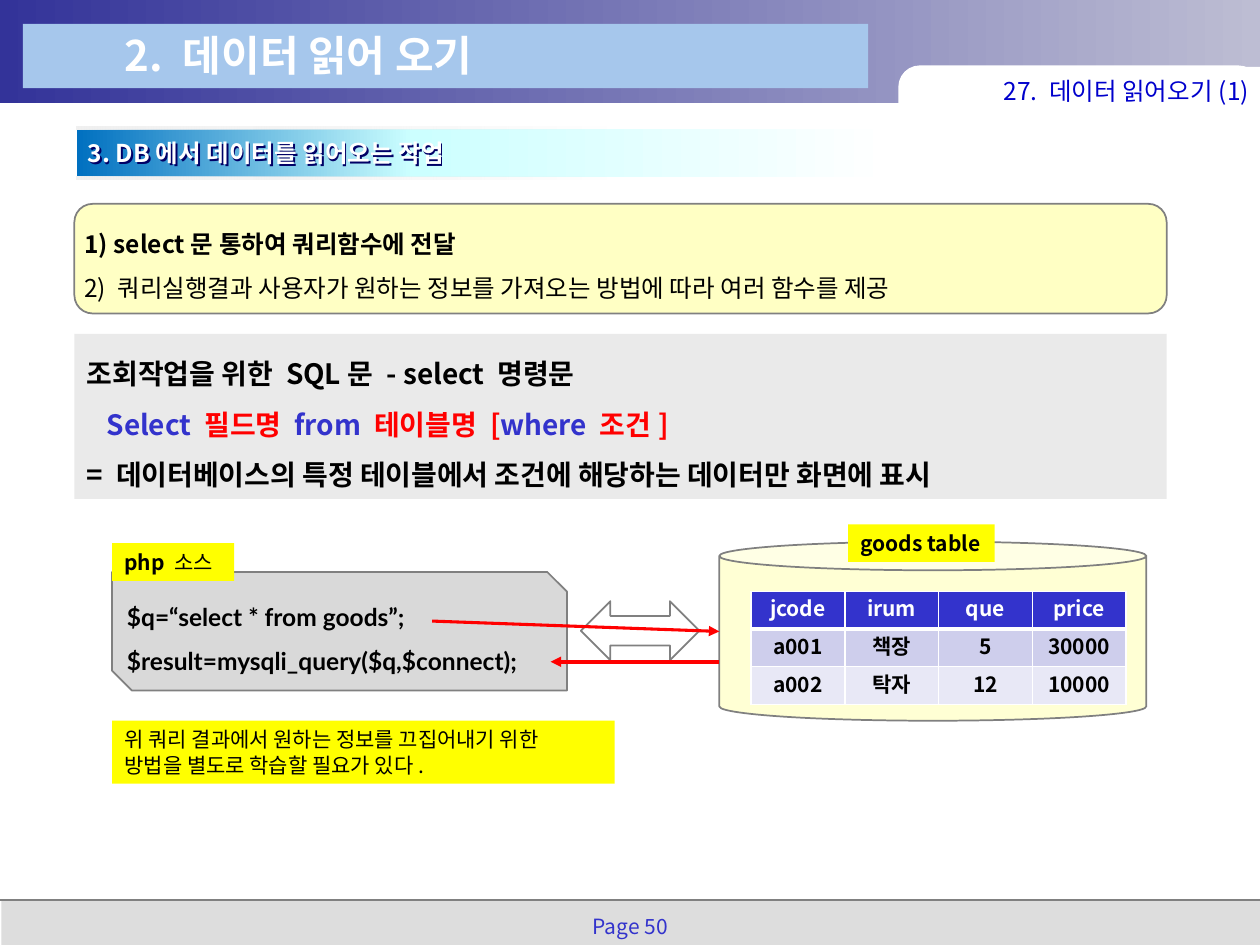
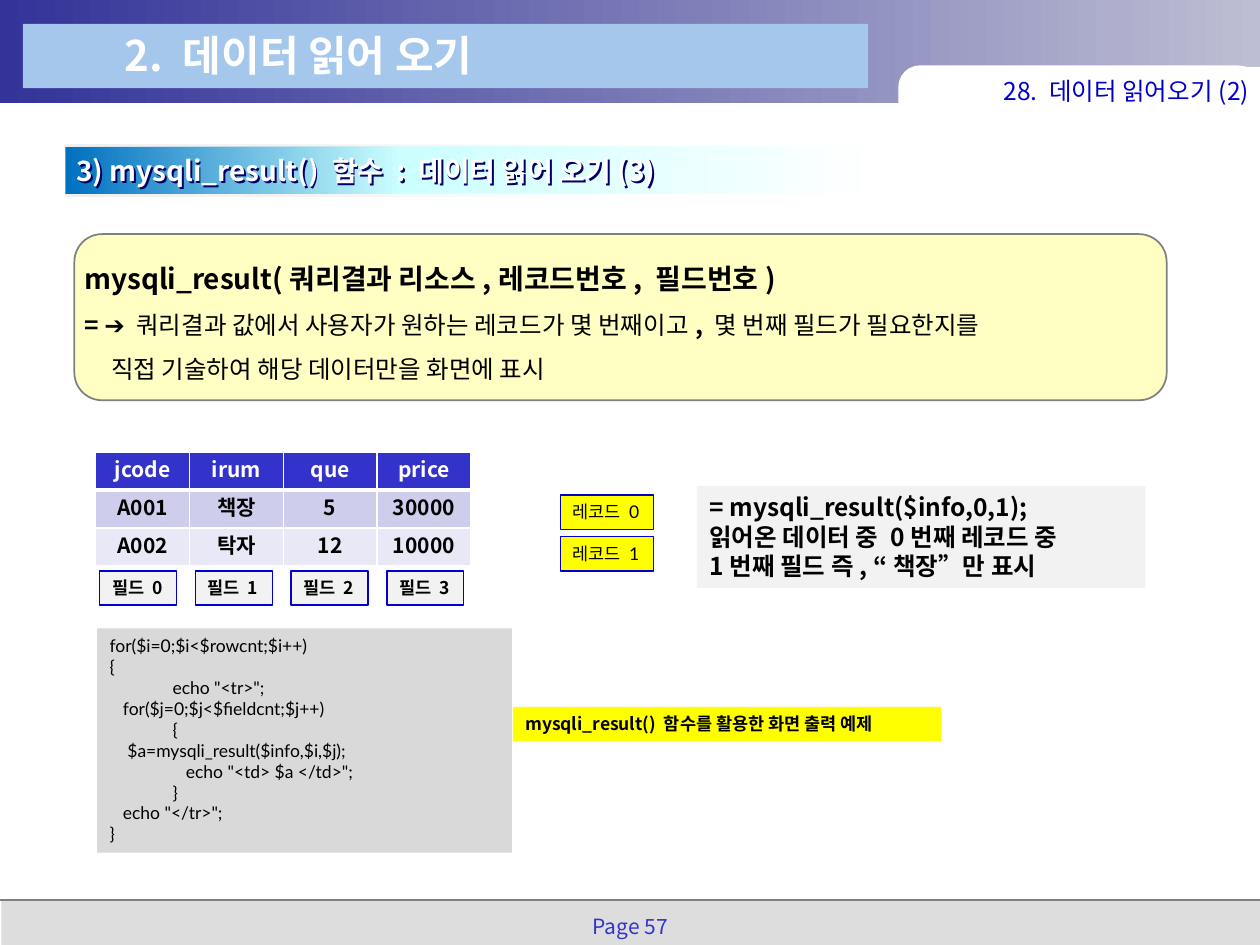
import dataclasses

import pptx
import pptx.dml.color
import pptx.enum.shapes
import pptx.enum.text
import pptx.oxml
import pptx.oxml.ns
import pptx.util

Cm, Pt = pptx.util.Cm, pptx.util.Pt
SHAPE = pptx.enum.shapes.MSO_SHAPE
ALIGN = pptx.enum.text.PP_ALIGN
ANCHOR = pptx.enum.text.MSO_ANCHOR
qn = pptx.oxml.ns.qn
NS = pptx.oxml.ns.nsdecls("a")


@dataclasses.dataclass(frozen=True)
class Theme:
    font: str = "Noto Sans CJK KR"
    code_font: str = "Lato"
    ink: str = "000000"
    white: str = "FFFFFF"
    blue: str = "3333CC"
    link: str = "0000CC"
    red: str = "FF0000"
    yellow: str = "FFFF00"
    gray: str = "D9D9D9"
    pale: str = "F2F2F2"
    outline: str = "808080"
    footer: str = "DDDDDD"
    title_box: str = "A6C7EC"
    shadow: str = "000066"
    rows: tuple = ("3333CC", "CECEEC", "E8E8F6")
    band: tuple = ((0, "333399", 100), (100, "BDBDD3", 100))
    heading: tuple = ((0, "0070C0", 100), (40, "CCFFFF", 100), (97, "FFFFFF", 100))
    hairline: tuple = ((0, "F0F0F0", 100), (100, "EAEAEA", 0))
    title: int = 24
    lead: int = 16
    body: int = 14
    label: int = 12
    small: int = 10


T = Theme()


# ---- helpers ----
def cm(*values):
    return [Cm(v) for v in values]


def rgb(color):
    return pptx.dml.color.RGBColor.from_string(color)


def add_box(s, box, fill=None, line=None, width=1, kind=SHAPE.RECTANGLE, alpha=None):
    """Preset shape; fill is a colour, a tuple of gradient stops or None."""
    sp = s.shapes.add_shape(kind, *cm(*box))
    sp.shadow.inherit = False
    if isinstance(fill, str):
        sp.fill.solid()
        sp.fill.fore_color.rgb = rgb(fill)
        if alpha:
            clr = sp.element.spPr.find(qn("a:solidFill"))[0]
            clr.append(pptx.oxml.parse_xml(f'<a:alpha {NS} val="{alpha * 1000}"/>'))
    else:
        sp.fill.background()
    if isinstance(fill, tuple):
        stops = "".join(
            f'<a:gs pos="{pos * 1000}"><a:srgbClr val="{color}">'
            f'<a:alpha val="{opacity * 1000}"/></a:srgbClr></a:gs>'
            for pos, color, opacity in fill)
        grad = pptx.oxml.parse_xml(
            f'<a:gradFill {NS}><a:gsLst>{stops}</a:gsLst><a:lin ang="0"/></a:gradFill>')
        spPr = sp.element.spPr
        spPr.replace(spPr.find(qn("a:noFill")), grad)
    if line:
        sp.line.color.rgb = rgb(line)
        sp.line.width = Pt(width)
    else:
        sp.line.fill.background()
    return sp


def add_line(s, start, end, color, width, arrow=False):
    c = s.shapes.add_connector(
        pptx.enum.shapes.MSO_CONNECTOR.STRAIGHT, *cm(*start, *end))
    c.line.color.rgb = rgb(color)
    c.line.width = Pt(width)
    if arrow:
        c.line._get_or_add_ln().append(
            pptx.oxml.parse_xml(f'<a:tailEnd {NS} type="triangle"/>'))
    c.element.spPr.append(pptx.oxml.parse_xml(f"<a:effectLst {NS}/>"))


def write(tf, paragraphs, size, color=T.ink, bold=False, font=T.font, align=ALIGN.LEFT,
          spacing=1, anchor=ANCHOR.TOP, wrap=True, inset=None, indents=()):
    """Each paragraph is a string or a list of (text, overrides) runs."""
    tf.auto_size = pptx.enum.text.MSO_AUTO_SIZE.NONE
    tf.word_wrap = wrap
    tf.vertical_anchor = anchor
    if inset is not None:
        tf.margin_left = tf.margin_right = tf.margin_top = tf.margin_bottom = Cm(inset)
    for i, runs in enumerate(paragraphs):
        p = tf.paragraphs[0] if i == 0 else tf.add_paragraph()
        pPr = p._p.get_or_add_pPr()
        pPr.set("marL", str(Cm(dict(indents).get(i, 0))))
        pPr.set("indent", "0")
        pPr.append(pptx.oxml.parse_xml(f"<a:buNone {NS}/>"))
        p.alignment = align
        p.space_before = Pt(0)
        p.line_spacing = Pt(round(size * 1.2 * spacing, 1))
        for text, style in [(runs, {})] if isinstance(runs, str) else runs:
            r = p.add_run()
            r.text = text
            r.font.size = Pt(style.get("size", size))
            r.font.bold = style.get("bold", bold)
            r.font.color.rgb = rgb(style.get("color", color))
            r.font.name = font
            r.font._element.find(qn("a:latin")).addnext(
                pptx.oxml.parse_xml(f'<a:ea {NS} typeface="{T.font}"/>'))


def add_text(s, box, paragraphs, size, **style):
    sp = s.shapes.add_textbox(*cm(*box))
    write(sp.text_frame, paragraphs, size, **style)
    return sp


def place(sp, box):
    """Moves a placeholder and brings it to the front."""
    sp.left, sp.top, sp.width, sp.height = cm(*box)
    sp.element.getparent().append(sp.element)


# ---- regions ----
def add_frame(prs, chapter, page):
    s = prs.slides.add_slide(prs.slide_layouts[1])
    add_box(s, (0.03, 18.14, 25.37, 0.91), T.footer)
    add_box(s, (0, 0, 25.4, 2.08), T.band)
    add_line(s, (0, 18.14), (25.4, 18.14), T.outline, 1)
    tab = add_box(s, (18.11, 1.32, 7.29, 1.5), T.white, kind=SHAPE.ROUNDED_RECTANGLE)
    tab.adjustments[0] = 0.29
    add_box(s, (23.11, 1.35, 2.29, 0.61), T.white)
    add_box(s, (0.46, 0.48, 17.04, 1.3), T.title_box)
    place(s.shapes.title, (2.26, 0.46, 12.62, 1.27))
    write(s.shapes.title.text_frame, ["2. 데이터 읽어 오기"], T.title, color=T.white, bold=True)
    add_text(s, (18.11, 1.42, 7.17, 0.81), [chapter], T.body, color=T.link,
             align=ALIGN.RIGHT, anchor=ANCHOR.MIDDLE, inset=0.1)
    add_text(s, (11.56, 18.29, 2.29, 0.71), [f"Page {page}"], T.label, color=T.blue,
             align=ALIGN.CENTER, wrap=False)
    return s


def add_heading(s, left, top, text, size):
    width, height = 16.94, 0.97
    add_box(s, (left, top, width, height), T.heading)
    for edge in (top - 0.04, top + height):
        add_box(s, (left, edge, 10.69, 0.05), T.hairline)
    sp = add_text(s, (left - 0.03, top, width, height), [text], size,
                  color=T.white, bold=True, anchor=ANCHOR.MIDDLE)
    sp.element.spPr.append(pptx.oxml.parse_xml(
        f'<a:effectLst {NS}><a:outerShdw dist="17960" dir="2700000">'
        f'<a:srgbClr val="{T.shadow}"/></a:outerShdw></a:effectLst>'))


def add_summary(s, box, paragraphs, size, **style):
    add_box(s, box, T.yellow, T.outline, kind=SHAPE.ROUNDED_RECTANGLE, alpha=23)
    left, top, width, height = box
    body = s.placeholders[1]
    place(body, (left + 0.1, top, width - 0.2, height))
    write(body.text_frame, paragraphs, size, spacing=1.5,
          anchor=ANCHOR.MIDDLE, inset=0.1, **style)


def add_label(s, box, paragraphs, size=T.label, fill=T.yellow, line=None, **style):
    sp = add_box(s, box, fill, line, 0.75)
    write(sp.text_frame, paragraphs, size, **style)


def add_goods_table(s, left, top, codes):
    rows = [("jcode", "irum", "que", "price"),
            (codes[0], "책장", "5", "30000"),
            (codes[1], "탁자", "12", "10000")]
    table = s.shapes.add_table(3, 4, *cm(left, top, 7.56, 2.28)).table
    for row, values in enumerate(rows):
        table.rows[row].height = Cm(0.76)
        for col, value in enumerate(values):
            cell = table.cell(row, col)
            cell.fill.solid()
            cell.fill.fore_color.rgb = rgb(T.rows[row])
            cell.margin_top = cell.margin_bottom = Cm(0.12)
            write(cell.text_frame, [value], T.label, bold=True, align=ALIGN.CENTER,
                  color=T.ink if row else T.white)
            cell.vertical_anchor = ANCHOR.MIDDLE
            tcPr = cell._tc.get_or_add_tcPr()
            for i, side in enumerate("LRTB"):
                heavy = (row, side) in ((0, "B"), (1, "T"))
                tcPr.insert(i, pptx.oxml.parse_xml(
                    f'<a:ln{side} {NS} w="{Pt(3 if heavy else 1)}"><a:solidFill>'
                    f'<a:srgbClr val="{T.white}"/></a:solidFill></a:ln{side}>'))


def add_database(s, left, top):
    can = add_box(s, (left, top, 8.61, 3.61), T.yellow, T.outline, kind=SHAPE.CAN, alpha=17)
    can.adjustments[0] = 0.16
    add_goods_table(s, left + 0.64, top + 1, ("a001", "a002"))
    add_label(s, (left + 2.6, top - 0.35, 2.95, 0.76), ["goods table"], bold=True, wrap=False)


def add_php_source(s, left, top):
    sp = add_box(s, (left, top, 9.17, 2.39), T.gray, T.outline,
                 kind=SHAPE.SNIP_2_DIAG_RECTANGLE)
    write(sp.text_frame, ["$q=“select * from goods”;", "$result=mysqli_query($q,$connect);"],
          T.body, bold=True, font=T.code_font, spacing=1.5, anchor=ANCHOR.MIDDLE, inset=0.1)
    add_label(s, (left, top - 0.58, 2.46, 0.76),
              [[("php ", {"bold": True}), ("소스", {})]], wrap=False)


def add_query_flow(s, left, top):
    add_php_source(s, left, top)
    add_box(s, (left + 9.45, top + 0.59, 2.39, 1.19), None, T.outline,
            kind=SHAPE.LEFT_RIGHT_ARROW)
    add_database(s, left + 12.24, top - 0.61)
    edge = left + 12.24
    add_line(s, (left + 6.45, top + 0.99), (edge, top + 1.2), T.red, 1.75, arrow=True)
    add_line(s, (edge, top + 1.81), (left + 8.84, top + 1.81), T.red, 2, arrow=True)
    add_label(s, (left, top + 3, 10.13, 1.27),
              ["위 쿼리 결과에서 원하는 정보를 끄집어내기 위한", "방법을 별도로 학습할 필요가 있다."])


def add_indexed_table(s, left, top):
    add_goods_table(s, left, top, ("A001", "A002"))
    for i in range(4):
        add_label(s, (left + 0.08 + 1.93 * i, top + 2.39, 1.55, 0.69), [f"필드 {i}"],
                  T.small, T.pale, T.link, bold=True, wrap=False)
    for i in range(2):
        add_label(s, (left + 9.37, top + 0.86 + 0.84 * i, 1.88, 0.69), [f"레코드 {i}"],
                  T.small, line=T.link, font=T.code_font, wrap=False)


# ---- slides ----
def build_select_slide(prs):
    s = add_frame(prs, "27. 데이터 읽어오기(1)", 50)
    add_heading(s, 1.55, 2.6, "3. DB에서 데이터를 읽어오는 작업", T.body)
    add_summary(s, (1.5, 4.11, 22.02, 2.21), [
        [("1) select문 통하여 쿼리함수에 전달", {"bold": True})],
        "2) 쿼리실행결과 사용자가 원하는 정보를 가져오는 방법에 따라 여러 함수를 제공"], T.body)
    keyword, operand = {"color": T.blue}, {"color": T.red}
    syntax = add_box(s, (1.5, 6.73, 22.02, 3.33), T.gray, alpha=53)
    write(syntax.text_frame, [
        "조회작업을 위한 SQL문 - select 명령문",
        [("Select ", keyword), ("필드명 ", operand), ("from ", keyword),
         ("테이블명 [", operand), ("where ", keyword), ("조건]", operand)],
        "= 데이터베이스의 특정 테이블에서 조건에 해당하는 데이터만 화면에 표시",
    ], T.lead, bold=True, spacing=1.5, indents={1: 0.4})
    add_query_flow(s, 2.26, 11.53)


def build_result_slide(prs):
    s = add_frame(prs, "28. 데이터 읽어오기(2)", 57)
    add_heading(s, 1.32, 2.95, "3) mysqli_result() 함수 : 데이터 읽어 오기(3)", T.lead)
    strong = {"bold": True}
    add_summary(s, (1.5, 4.72, 22.02, 3.35), [
        [("mysqli_result(쿼리결과 리소스,레코드번호, 필드번호)", {"bold": True, "size": T.lead})],
        [("= ➔ ", strong), ("쿼리결과 값에서 사용자가 원하는 레코드가 몇 번째이고", {}),
         (", ", strong), ("몇 번째 필드가 필요한지를", {})],
        "직접 기술하여 해당 데이터만을 화면에 표시"], T.body, indents={2: 0.54})
    add_indexed_table(s, 1.93, 9.12)
    add_label(s, (14.05, 9.8, 9.04, 2.06), [
        "= mysqli_result($info,0,1);",
        "읽어온 데이터 중 0번째 레코드 중",
        "1번째 필드 즉, “책장”만 표시"], T.body, T.pale, bold=True)
    add_label(s, (1.96, 12.67, 8.36, 4.52), [
        "for($i=0;$i<$rowcnt;$i++)",
        "{",
        "\techo \"<tr>\";",
        "   for($j=0;$j<$fieldcnt;$j++)",
        "\t{",
        "    $a=mysqli_result($info,$i,$j);",
        "\t   echo \"<td> $a </td>\";",
        "\t}",
        "   echo \"</tr>\";",
        "}"], T.small, T.gray, font=T.code_font)
    add_label(s, (10.34, 14.25, 8.64, 0.69),
              ["mysqli_result() 함수를 활용한 화면 출력 예제"], T.small, bold=True)


def main():
    prs = pptx.Presentation()
    prs.slide_width, prs.slide_height = cm(25.4, 19.05)
    build_select_slide(prs)
    build_result_slide(prs)
    prs.save("out.pptx")


if __name__ == "__main__":
    main()
